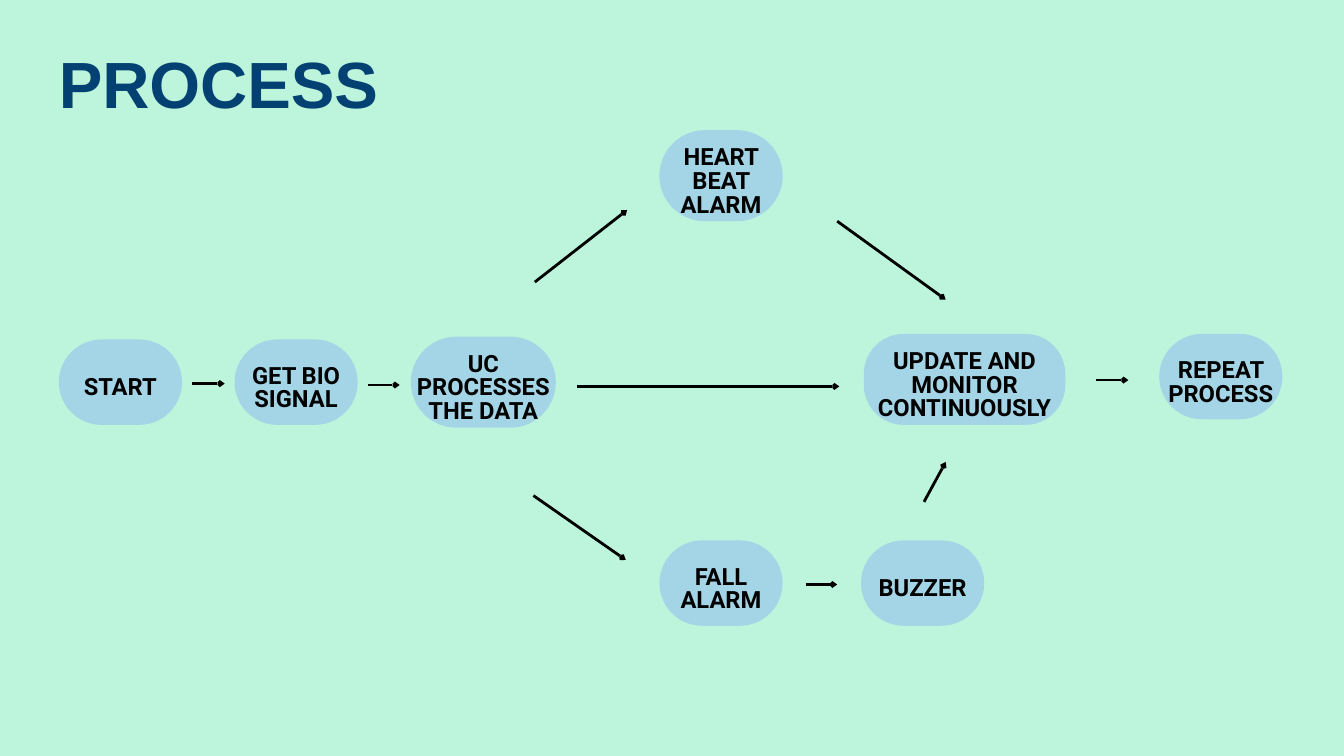
from lxml import etree
from pptx import Presentation
from pptx.dml.color import RGBColor
from pptx.enum.shapes import MSO_CONNECTOR, MSO_SHAPE
from pptx.enum.text import MSO_ANCHOR, PP_ALIGN
from pptx.oxml.ns import qn
from pptx.util import Pt

ROUNDED = MSO_SHAPE.ROUNDED_RECTANGLE
STRAIGHT = MSO_CONNECTOR.STRAIGHT
TOP, MIDDLE = MSO_ANCHOR.TOP, MSO_ANCHOR.MIDDLE
LEFT, CENTER = PP_ALIGN.LEFT, PP_ALIGN.CENTER

PX = 9525  # EMU per px, slide of 1920 x 1080 px
COLORS = {"background": "BDF4DC", "step": "A4D5E6", "title": "034172", "ink": "000000"}


def color(name):
    return RGBColor.from_string(COLORS[name])


def write(frame, text, font, size, ink, align, anchor, inset):
    frame.word_wrap = True
    frame.vertical_anchor = anchor
    frame.margin_left = frame.margin_right = inset * PX
    frame.margin_top = frame.margin_bottom = inset * PX
    frame.text = text
    paragraph = frame.paragraphs[0]
    paragraph.alignment = align
    paragraph.line_spacing = Pt(size)
    paragraph.space_before = Pt(0)
    paragraph.font.name = font
    paragraph.font.size = Pt(size)
    paragraph.font.bold = True
    paragraph.font.color.rgb = color(ink)


prs = Presentation()
prs.slide_width, prs.slide_height = 1920 * PX, 1080 * PX
slide = prs.slides.add_slide(prs.slide_layouts[5])
slide.background.fill.solid()
slide.background.fill.fore_color.rgb = color("background")

# Title
title = slide.shapes.title
title.left, title.top, title.width, title.height = (v * PX for v in (84, 81, 1267, 103))
write(title.text_frame, "PROCESS", "Arial", 70, "title", LEFT, TOP, 0)

# Steps: label, left, top, width, height, corner radius as a share of the height
LABEL_DROP = 19
steps = [
    ("START", 84, 485, 176, 122, 0.5),
    ("GET BIO SIGNAL", 335, 485, 176, 122, 0.5),
    ("UC PROCESSES THE DATA", 587, 481, 207, 130, 0.5),
    ("HEART BEAT ALARM", 942, 186, 176, 130, 0.5),
    ("UPDATE AND MONITOR CONTINUOUSLY", 1234, 477, 288, 130, 0.44),
    ("REPEAT PROCESS", 1656, 477, 176, 122, 0.5),
    ("FALL ALARM", 942, 772, 176, 122, 0.5),
    ("BUZZER", 1230, 772, 176, 122, 0.5),
]
for text, left, top, width, height, radius in steps:
    step = slide.shapes.add_group_shape()
    pill = step.shapes.add_shape(ROUNDED, left * PX, top * PX, width * PX, height * PX)
    pill.adjustments[0] = radius
    pill.shadow.inherit = False
    pill.fill.solid()
    pill.fill.fore_color.rgb = color("step")
    pill.line.fill.background()
    label = step.shapes.add_textbox(
        left * PX, (top + LABEL_DROP) * PX, width * PX, (height - LABEL_DROP) * PX)
    write(label.text_frame, text, "Roboto", 25.4, "ink", CENTER, MIDDLE, 6)

# Arrows between the steps: start x, y, end x, y
arrows = [
    (275, 548, 321, 548),
    (526, 550, 571, 550),
    (1566, 543, 1612, 543),
    (825, 552, 1199, 552),
    (762, 708, 894, 800),
    (764, 403, 896, 300),
    (1151, 835, 1196, 835),
    (1196, 316, 1351, 428),
    (1320, 717, 1351, 660),
]
for ends in arrows:
    arrow = slide.shapes.add_connector(STRAIGHT, *(v * PX for v in ends))
    arrow.line.color.rgb = color("ink")
    arrow.line.width = Pt(3)
    etree.SubElement(arrow.line._get_or_add_ln(), qn("a:tailEnd"), type="arrow", w="sm", len="sm")
    etree.SubElement(arrow._element.spPr, qn("a:effectLst"))

prs.save("out.pptx")
